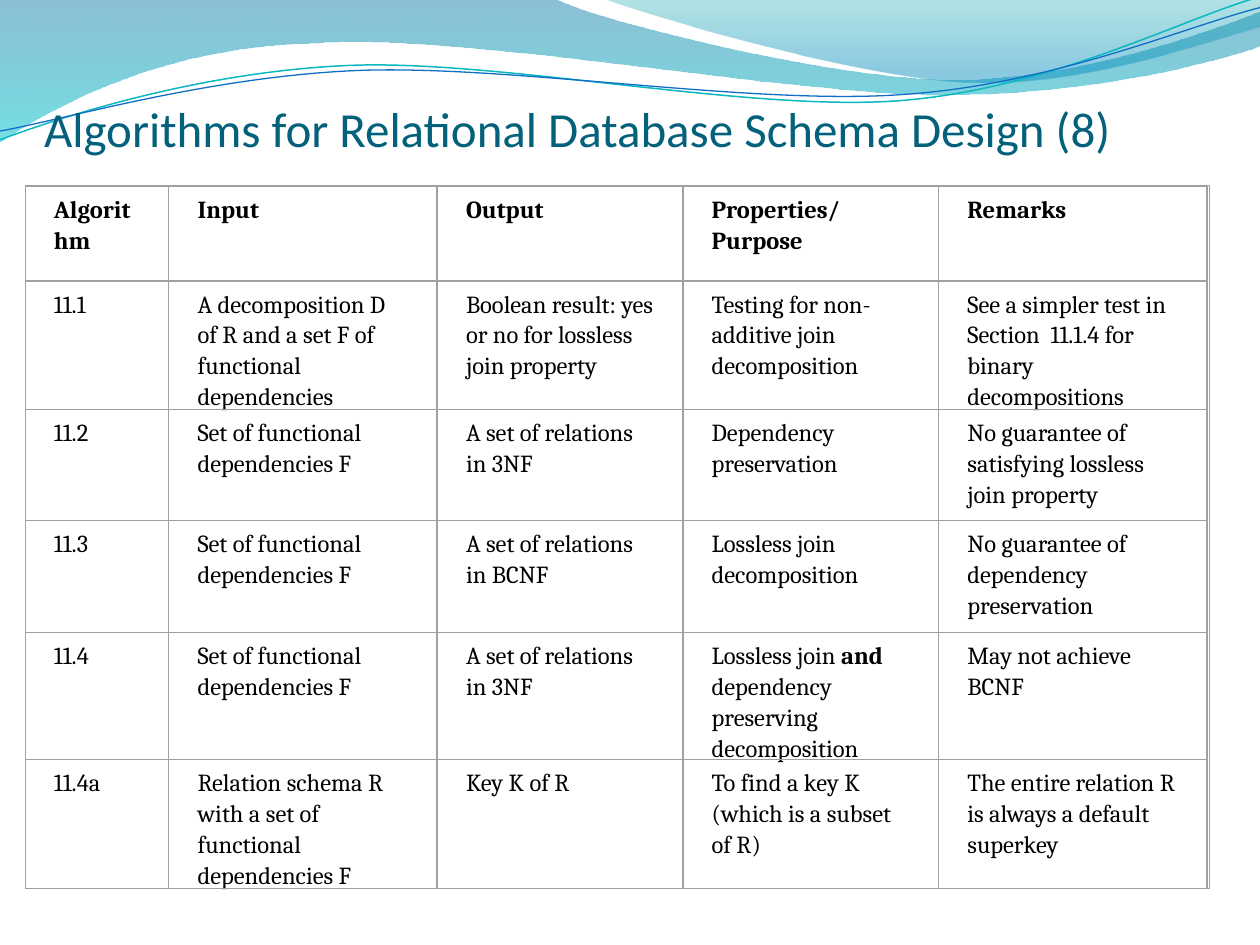
"""Build a slide with a grid of relational schema design algorithms under a wave banner."""
from dataclasses import dataclass
from itertools import accumulate
from math import cos, radians, sin

from lxml import etree
from pptx import Presentation
from pptx.dml.color import RGBColor
from pptx.enum.shapes import MSO_SHAPE
from pptx.enum.text import MSO_ANCHOR
from pptx.oxml.ns import qn
from pptx.shapes.autoshape import Shape
from pptx.shapes.shapetree import GroupShapes
from pptx.slide import Slide
from pptx.util import Inches, Pt

RECTANGLE = MSO_SHAPE.RECTANGLE
ANCHOR_BOTTOM = MSO_ANCHOR.BOTTOM

COLORS = {
    "title": "04617B", "text": "000000", "border": "A0A0A0",
    "deep_blue": "0074A1", "cyan": "00C6CF", "teal": "00A1A9", "sky": "008BBF",
    "teal_line": "0AB8BF", "blue_line": "0F6FC6",
}

GRID_LEFT, GRID_TOP = 0.2, 1.48
CELL_INSET = 0.13
COLUMN_WIDTHS = (1.14, 2.13, 1.95, 2.03, 2.13)
ROW_HEIGHTS = (0.75, 1.02, 0.88, 0.89, 1.01, 1.02)
ROWS = (
    ("Algorithm", "Input", "Output", "Properties/Purpose", "Remarks"),
    ("11.1", "A decomposition D of R and a set F of functional dependencies",
     "Boolean result: yes or no for lossless join property",
     "Testing for non-additive join decomposition",
     "See a simpler test in Section  11.1.4 for binary decompositions"),
    ("11.2", "Set of functional dependencies F", "A set of relations in 3NF",
     "Dependency preservation", "No guarantee of satisfying lossless join property"),
    ("11.3", "Set of functional dependencies F", "A set of relations in BCNF",
     "Lossless join decomposition", "No guarantee of dependency preservation"),
    ("11.4", "Set of functional dependencies F", "A set of relations in 3NF",
     "Lossless join **and** dependency preserving decomposition", "May not achieve BCNF"),
    ("11.4a", "Relation schema R  with a set of functional dependencies F", "Key K of R",
     "To find a key K\n(which is a subset of R)",
     "The entire relation R is always a default superkey"),
)


@dataclass(frozen=True)
class Box:
    """A frame on the slide in inches."""
    left: float
    top: float
    width: float
    height: float

    def lengths(self) -> tuple[int, ...]:
        """Return the frame as lengths."""
        return tuple(Inches(value) for value in (self.left, self.top, self.width, self.height))


@dataclass(frozen=True)
class GradientStop:
    """A gradient colour with its position and opacity in percent."""
    color: str
    position: float
    opacity: int


@dataclass(frozen=True)
class Wave:
    """An outline whose steps hold one point for a line or three for a Bezier curve."""
    box: Box
    start: tuple[float, float]
    steps: tuple[tuple[float, ...], ...]
    stops: tuple[GradientStop, ...] = ()
    line_color: str = ""
    line_width: float = 0
    rotation: float = 0


WAVES = (
    Wave(Box(-0.01, -0.01, 10.02, 1.14), (0, 0), (
        (4.4, -0.01), (4.76, 0.17, 6.64, 0.63, 7.58, 0.63), (8.53, 0.63, 9.58, 0.26, 10, 0.09),
        (10.01, 0.36), (9.83, 0.44, 8.7, 0.76, 7.46, 0.75), (6.22, 0.75, 3.82, 0.28, 2.57, 0.34),
        (1.29, 0.36, 0.46, 0.83, -0.01, 1.13), (0, 0),
    ), stops=(GradientStop("deep_blue", 0, 45), GradientStop("cyan", 1, 55))),
    Wave(Box(4.79, -0.01, 5.21, 0.7), (4.79, -0.01), (
        (5.09, 0.11, 6.82, 0.62, 7.69, 0.65), (8.56, 0.69, 9.61, 0.32, 10, 0.21), (10, 0),
        (4.79, -0.01),
    ), stops=(GradientStop("teal", 0, 30), GradientStop("sky", 0.8, 45))),
    Wave(Box(-0.02, 0.22, 10.02, 0.71), (0, 1.11), (
        (0.48, 0.93, 1.58, 0.57, 2.77, 0.52), (3.95, 0.47, 5.93, 0.89, 7.13, 0.8),
        (8.33, 0.71, 9.38, 0.15, 9.98, -0.02),
    ), line_color="teal_line", line_width=0.85, rotation=357.3),
    Wave(Box(-0.02, 0.3, 10.03, 0.58), (0, 1.04), (
        (0.47, 0.96, 1.64, 0.61, 2.83, 0.56), (4.03, 0.51, 5.97, 0.84, 7.17, 0.75),
        (8.36, 0.67, 9.41, 0.21, 10, 0.06),
    ), line_color="blue_line", line_width=0.75, rotation=357.3),
)


def color_of(name: str) -> RGBColor:
    """Return the named colour."""
    return RGBColor.from_string(COLORS[name])


def local_point(wave: Wave, x: float, y: float) -> tuple[int, int]:
    """Return a slide point relative to the frame of a wave before its rotation."""
    box, angle = wave.box, radians(-wave.rotation)
    across = x - box.left - box.width / 2
    down = y - box.top - box.height / 2
    return (Inches(across * cos(angle) - down * sin(angle) + box.width / 2),
            Inches(across * sin(angle) + down * cos(angle) + box.height / 2))


def curve_outline(shape: Shape, wave: Wave) -> None:
    """Give a freeform the lines and Bezier curves of a wave."""
    outline = shape.element.find(".//" + qn("a:path"))
    for child in list(outline):
        outline.remove(child)
    _, _, width, height = wave.box.lengths()
    outline.set("w", str(width))
    outline.set("h", str(height))
    for index, step in enumerate((wave.start, *wave.steps)):
        tag = "a:moveTo" if index == 0 else "a:lnTo" if len(step) == 2 else "a:cubicBezTo"
        command = etree.SubElement(outline, qn(tag))
        for x, y in zip(step[::2], step[1::2]):
            across, down = local_point(wave, x, y)
            etree.SubElement(command, qn("a:pt"), x=str(across), y=str(down))
    if wave.stops:
        etree.SubElement(outline, qn("a:close"))
    shape.left, shape.top, shape.width, shape.height = wave.box.lengths()
    shape.rotation = wave.rotation


def fill_gradient(shape: Shape, stops: tuple[GradientStop, ...]) -> None:
    """Fill a shape with a translucent gradient running from top to bottom."""
    shape.fill.gradient()
    shape.fill.gradient_angle = 270
    for target, stop in zip(shape.fill.gradient_stops, stops):
        target.color.rgb = color_of(stop.color)
        target.position = stop.position
    for color, stop in zip(shape.element.iter(qn("a:srgbClr")), stops):
        etree.SubElement(color, qn("a:alpha"), val=str(stop.opacity * 1000))


def draw_wave(slide: Slide, wave: Wave) -> None:
    """Draw one filled or stroked wave of the banner."""
    builder = slide.shapes.build_freeform(Inches(wave.start[0]), Inches(wave.start[1]))
    builder.add_line_segments(
        [(Inches(step[-2]), Inches(step[-1])) for step in wave.steps], close=False)
    shape = builder.convert_to_shape()
    curve_outline(shape, wave)
    shape.shadow.inherit = False
    if wave.stops:
        fill_gradient(shape, wave.stops)
        shape.line.fill.background()
    else:
        shape.fill.background()
        shape.line.color.rgb = color_of(wave.line_color)
        shape.line.width = Pt(wave.line_width)


def draw_title(slide: Slide, text: str) -> None:
    """Write the slide title."""
    text_frame = slide.shapes.add_textbox(*Box(0.35, 0, 9, 1.25).lengths()).text_frame
    text_frame.word_wrap = True
    text_frame.vertical_anchor = ANCHOR_BOTTOM
    text_frame.margin_left = text_frame.margin_right = text_frame.margin_bottom = 0
    text_frame.text = text
    font = text_frame.paragraphs[0].runs[0].font
    font.name, font.size = "Calibri", Pt(28)
    font.color.rgb = color_of("title")


def draw_frame(shapes: GroupShapes, box: Box, line_width: float) -> None:
    """Draw an unfilled rectangle with a grey line."""
    frame = shapes.add_shape(RECTANGLE, *box.lengths())
    frame.shadow.inherit = False
    frame.fill.background()
    frame.line.color.rgb = color_of("border")
    frame.line.width = Pt(line_width)


def write_cell(shapes: GroupShapes, box: Box, text: str, is_header: bool) -> None:
    """Write a cell, with bold for headers and for words between double asterisks."""
    inner = Box(box.left + CELL_INSET, box.top, box.width - 2 * CELL_INSET, box.height)
    text_frame = shapes.add_textbox(*inner.lengths()).text_frame
    text_frame.word_wrap = True
    text_frame.text = text
    for paragraph in text_frame.paragraphs:
        first, *others = paragraph.text.split("**")
        paragraph.text = first
        paragraph.line_spacing = 1.05
        for other in others:
            paragraph.add_run().text = other
        for index, run in enumerate(paragraph.runs):
            run.font.name, run.font.size = "Cambria", Pt(14)
            run.font.bold = is_header or index % 2 == 1
            run.font.color.rgb = color_of("text")


def draw_grid(slide: Slide) -> None:
    """Draw the grid of algorithms and the frame around it as one group."""
    shapes = slide.shapes.add_group_shape().shapes
    lefts = accumulate(COLUMN_WIDTHS, initial=GRID_LEFT)
    columns = list(zip(lefts, COLUMN_WIDTHS))
    tops = accumulate(ROW_HEIGHTS, initial=GRID_TOP)
    for row_index, (top, height, texts) in enumerate(zip(tops, ROW_HEIGHTS, ROWS)):
        for (left, width), text in zip(columns, texts):
            box = Box(left, top, width, height)
            write_cell(shapes, box, text, row_index == 0)
            draw_frame(shapes, box, 0)
    draw_frame(shapes, Box(GRID_LEFT, 1.47, 9.4, 5.58), 0.75)


def main() -> None:
    """Build and save the presentation."""
    presentation = Presentation()
    presentation.slide_width, presentation.slide_height = Inches(10), Inches(7.5)
    slide = presentation.slides.add_slide(presentation.slide_layouts[6])
    for wave in WAVES:
        draw_wave(slide, wave)
    draw_title(slide, "Algorithms for Relational Database Schema Design (8)")
    draw_grid(slide)
    presentation.save("out.pptx")


if __name__ == "__main__":
    main()
